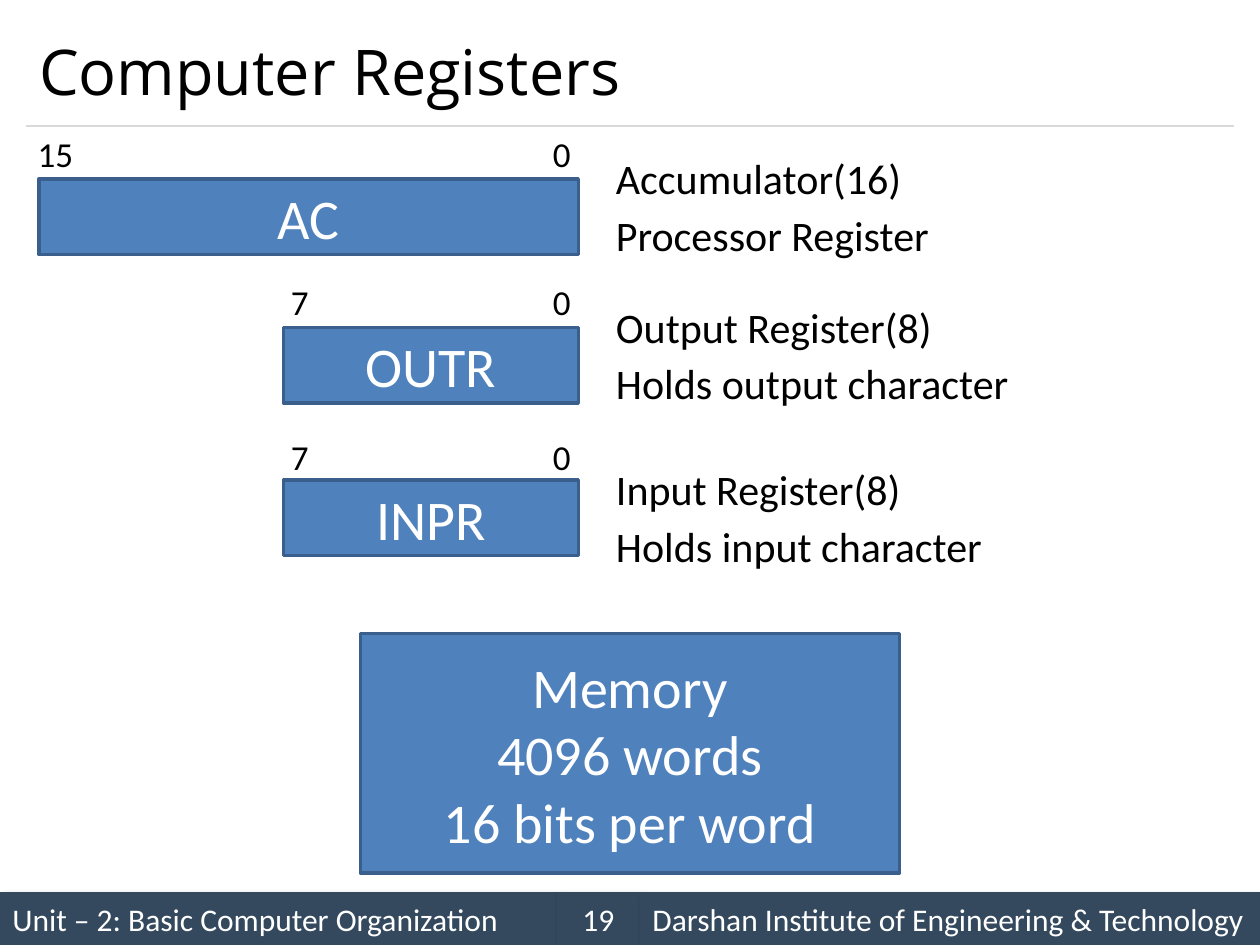
from lxml.etree import SubElement as Sub
from pptx import Presentation as Deck
from pptx.dml.color import RGBColor as Rgb
from pptx.enum.shapes import MSO_CONNECTOR as Conn, MSO_SHAPE as Kind
from pptx.enum.text import MSO_ANCHOR as Anchor, MSO_AUTO_SIZE as Auto, PP_ALIGN as Align
from pptx.oxml.ns import qn
from pptx.util import Inches, Pt

BLUE, EDGE, SLATE, GREY = "4F81BD", "3A5F8C", "34495E", "D9D9D9"
WHITE, BLACK = "FFFFFF", "000000"


def paint(part, code):
    """Give a fill, or a line's fill, a solid colour from a hex string."""
    part.solid()
    part.fore_color.rgb = Rgb.from_string(code)


def write(frame, text, size=24, color=BLACK, font="Calibri",
          align=Align.LEFT, anchor=Anchor.TOP, fit=Auto.NONE):
    """Fill a text frame, one paragraph for each line of text."""
    frame.text = text
    frame.word_wrap = True
    frame.auto_size = fit
    frame.vertical_anchor = anchor
    for para in frame.paragraphs:
        para.alignment = align
        para.font.size = Pt(size)
        para.font.name = font
        paint(para.font.fill, color)


def place(box):
    """Turn a box in inches into lengths."""
    return [Inches(n) for n in box]


def label(slide, box, text, **style):
    """Add a text box that grows with its text."""
    note = slide.shapes.add_textbox(*place(box))
    write(note.text_frame, text, fit=Auto.SHAPE_TO_FIT_TEXT, **style)


def block(slide, box, text, fill=BLUE, edge=EDGE, size=32, align=Align.CENTER):
    """Add a filled rectangle with white text."""
    rect = slide.shapes.add_shape(Kind.RECTANGLE, *place(box))
    rect.shadow.inherit = False
    paint(rect.fill, fill)
    if edge:
        paint(rect.line.fill, edge)
        rect.line.width = Pt(2)
    else:
        rect.line.fill.background()
    write(rect.text_frame, text, size=size, color=WHITE, align=align, anchor=Anchor.MIDDLE)
    return rect


def shade(shape):
    """Cast a soft shadow down and to the right."""
    glow = Sub(shape._element.spPr.find(qn("a:effectLst")), qn("a:outerShdw"),
               blurRad=str(Pt(4)), dist=str(Pt(3)), dir=str(45 * 60000),
               algn="tl", rotWithShape="0")
    tint = Sub(glow, qn("a:srgbClr"), val=BLACK)
    Sub(tint, qn("a:alpha"), val="40000")


def header(slide, box, text):
    """Place the title and the rule under it."""
    left, top, width, height = box
    title = slide.shapes.title
    title.left, title.top, title.width, title.height = place(box)
    write(title.text_frame, text, size=36, font="Open Sans", anchor=Anchor.MIDDLE)
    base = top + height
    rule = slide.shapes.add_connector(
        Conn.STRAIGHT, *place((left, base, left + width, base)))
    paint(rule.line.fill, GREY)
    rule.line.width = Pt(0.75)
    Sub(rule._element.spPr, qn("a:effectLst"))


def footer(slide, box, parts):
    """Lay the footer parts side by side across the box."""
    left, top, _, height = box
    for text, width, align in parts:
        shade(block(slide, (left, top, width, height), text,
                    fill=SLATE, edge=None, size=18, align=align))
        left += width


def register(slide, box, name, high, lines, rise, lift):
    """Draw a register with its bit numbers above and its notes beside it."""
    left, top, width, _ = box
    right = left + width
    block(slide, box, name)
    for mark, start, span in ((high, left - 0.12, 0.5), ("0", right - 0.3, 0.3)):
        label(slide, (start, top - rise, span, 0.44), mark, size=20, align=Align.CENTER)
    for step, line in enumerate(lines):
        label(slide, (right + 0.2, top - lift + 0.45 * step, 4.38, 0.5), line)


def main():
    """Build the slide and save it."""
    deck = Deck()
    deck.slide_width, deck.slide_height = Inches(10), Inches(7.5)
    slide = deck.slides.add_slide(deck.slide_layouts[5])
    header(slide, (0.21, 0.12, 9.58, 0.88), "Computer Registers")
    footer(slide, (0, 7.08, 10, 0.42), (
        ("Unit – 2: Basic Computer Organization", 4.42, Align.LEFT),
        ("19", 0.66, Align.CENTER),
        ("Darshan Institute of Engineering & Technology", 4.92, Align.LEFT)))
    rows = (
        ("AC", "15", 1.42, 4.28, 0.42, 0.26, ("Accumulator(16)", "Processor Register")),
        ("OUTR", "7", 2.6, 2.34, 0.42, 0.26, ("Output Register(8)", "Holds output character")),
        ("INPR", "7", 3.81, 2.34, 0.4, 0.18, ("Input Register(8)", "Holds input character")))
    for name, high, top, width, rise, lift, lines in rows:
        register(slide, (4.59 - width, top, width, 0.6), name, high, lines, rise, lift)
    block(slide, (2.86, 5.03, 4.28, 1.9), "Memory\n4096 words\n16 bits per word")
    deck.save("out.pptx")


if __name__ == "__main__":
    main()
